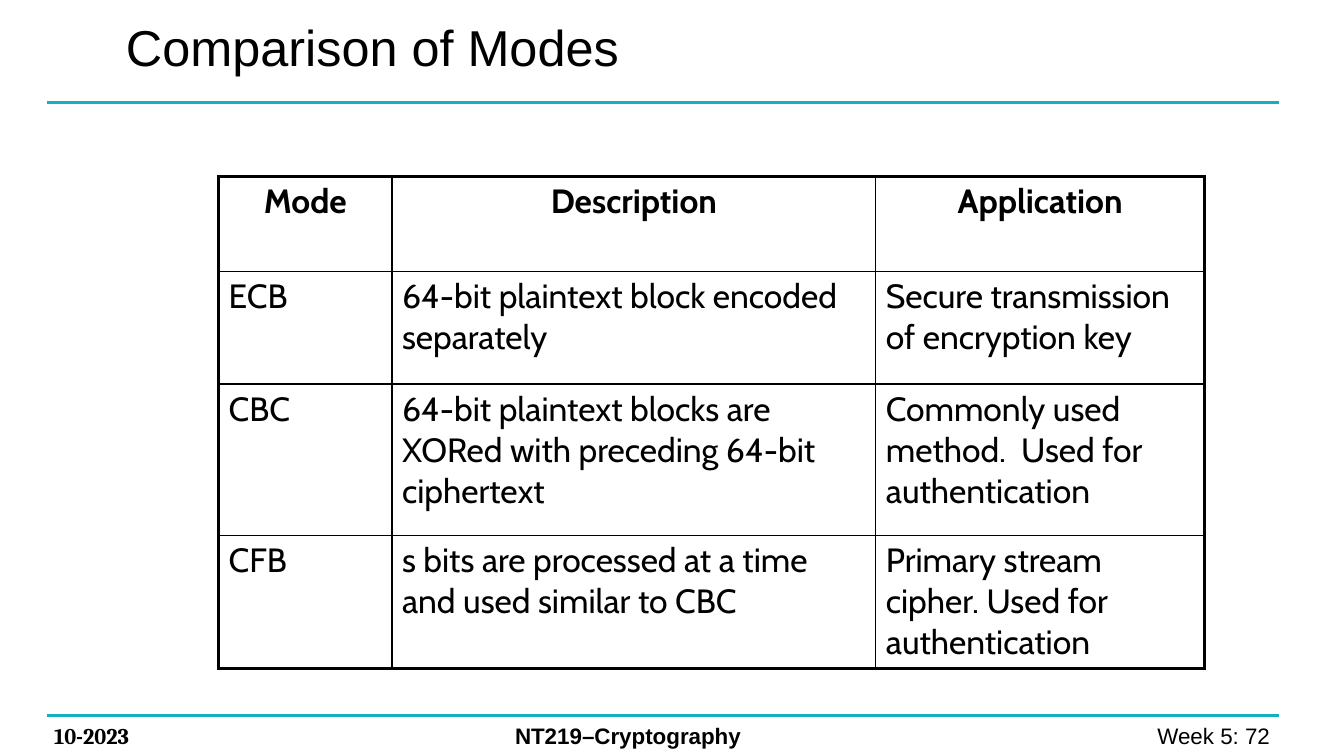
from lxml import etree
from pptx import Presentation
from pptx import util as u
from pptx.dml.color import RGBColor
from pptx.enum import shapes, text
from pptx.oxml.ns import qn

Pt = u.Pt
BLACK, TEAL = "000000", "16AFC2"
LEFT, CENTER, RIGHT = (text.PP_ALIGN.LEFT, text.PP_ALIGN.CENTER,
                       text.PP_ALIGN.RIGHT)
THIN, THICK = 1, 2.25

MODES = [
    ("Mode", "Description", "Application"),
    ("ECB", "64-bit plaintext block encoded separately",
     "Secure transmission of encryption key"),
    ("CBC", "64-bit plaintext blocks are XORed with preceding 64-bit ciphertext",
     "Commonly used method.  Used for authentication"),
    ("CFB", "s bits are processed at a time and used similar to CBC",
     "Primary stream cipher. Used for authentication"),
]
COLUMN_WIDTHS = [123.8, 345.6, 234.7]
ROW_HEIGHTS = [67.7, 80.6, 108, 95]


def color(hex_color):
    return RGBColor.from_string(hex_color)


def write(tf, words, size=16, font="Arial", bold=False, align=LEFT, ink=BLACK):
    tf.word_wrap = True
    p = tf.paragraphs[0]
    p.alignment = align
    r = p.add_run()
    r.text = words
    r.font.size, r.font.name, r.font.bold = Pt(size), font, bold
    r.font.color.rgb = color(ink)


def add_rule(s, x, y, w):
    line = s.shapes.add_connector(shapes.MSO_CONNECTOR.STRAIGHT,
                                  Pt(x), Pt(y), Pt(x + w), Pt(y))
    line.line.color.rgb = color(TEAL)
    line.line.width = Pt(2.25)
    etree.SubElement(line._element.spPr, qn("a:effectLst"))


def set_border(cell, side, width):
    ln = etree.SubElement(cell._tc.get_or_add_tcPr(), qn("a:ln" + side),
                          w=str(Pt(width)))
    fill = etree.SubElement(ln, qn("a:solidFill"))
    etree.SubElement(fill, qn("a:srgbClr"), val=BLACK)


def add_header(s, x, y, w, h):
    # Title, with the rule below it
    title = s.shapes.title
    title.left, title.top, title.width, title.height = (
        Pt(x + 49), Pt(y), Pt(648), Pt(h - 7.2))
    title.text_frame.vertical_anchor = text.MSO_ANCHOR.MIDDLE
    write(title.text_frame, "Comparison of Modes", size=36)
    add_rule(s, x, y + h, w)


def add_modes_table(s, x, y, w, h):
    frame = s.shapes.add_table(len(MODES), len(MODES[0]),
                               Pt(x), Pt(y), Pt(w), Pt(h))
    table = frame.table
    table.first_row = table.horz_banding = False
    for column, width in zip(table.columns, COLUMN_WIDTHS):
        column.width = Pt(width)
    for row, height in zip(table.rows, ROW_HEIGHTS):
        row.height = Pt(height)

    # Thick outer frame, thin inner grid
    last_row, last_col = len(MODES) - 1, len(MODES[0]) - 1
    for i, entries in enumerate(MODES):
        for j, words in enumerate(entries):
            cell = table.cell(i, j)
            for side, outer in (("L", j == 0), ("R", j == last_col),
                                ("T", i == 0), ("B", i == last_row)):
                set_border(cell, side, THICK if outer else THIN)
            cell.fill.background()
            write(cell.text_frame, words, size=24, font="Cabin",
                  bold=i == 0, align=CENTER if i == 0 else LEFT)


def add_footer(s, x, y, w):
    # Rule, then date, course and page
    add_rule(s, x, y, w)
    for dx, width, words, style in (
            (-2.2, 128, "10-2023", dict(font="Cambria", bold=True)),
            (327, 294.5, "NT219–Cryptography", dict(bold=True)),
            (673.2, 211.7, "Week 5: 72 ", dict(align=RIGHT))):
        box = s.shapes.add_textbox(Pt(x + dx), Pt(y + 1.2), Pt(width), Pt(26.6))
        write(box.text_frame, words, **style)


def main():
    prs = Presentation()
    prs.slide_width, prs.slide_height = Pt(960), Pt(540)
    s = prs.slides.add_slide(prs.slide_layouts[5])
    add_header(s, 33.8, 0, 880, 73.4)
    add_modes_table(s, 156.2, 126, sum(COLUMN_WIDTHS), sum(ROW_HEIGHTS))
    add_footer(s, 33.8, 511.2, 880)
    prs.save("out.pptx")


if __name__ == "__main__":
    main()
